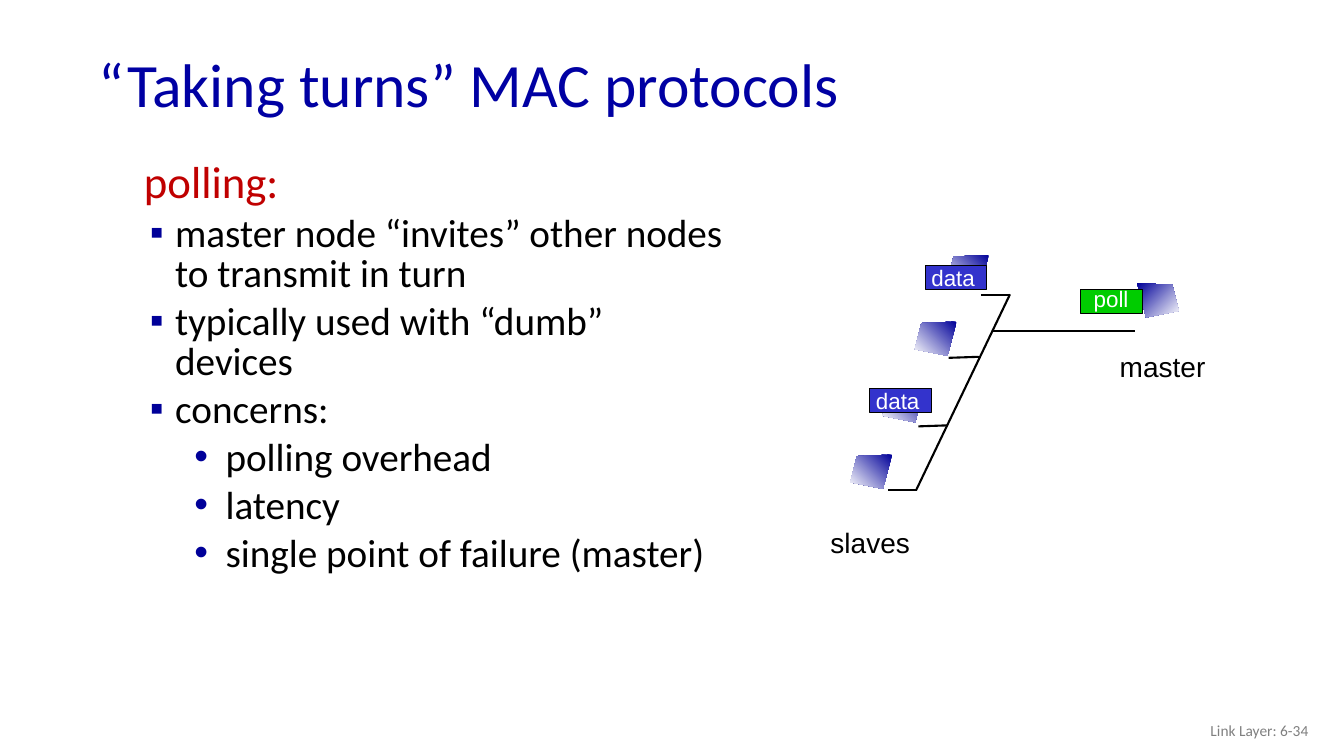
from lxml.etree import SubElement
from pptx import Presentation
from pptx.dml.color import RGBColor
from pptx.enum.shapes import MSO_CONNECTOR, MSO_SHAPE
from pptx.enum.text import MSO_ANCHOR, PP_ALIGN
from pptx.oxml.ns import qn
from pptx.util import Inches, Pt

CELL = 0.1
SLIDE_SIZE = (133.33, 75)
TITLE = ("“Taking turns” MAC protocols", (8.8, 3.8, 115, 9.8))
FOOTER = ("Link Layer: 6-34", (100.8, 70.5, 30, 4))

BODY_PLACE = (13.3, 15.6, 59.7, 55.4)
BODY = [
    ("heading", "polling:"),
    ("point", "master node “invites” other nodes to transmit in turn"),
    ("point", "typically used with “dumb” devices"),
    ("point", "concerns:"),
    ("detail", "polling overhead"),
    ("detail", "latency"),
    ("detail", "single point of failure (master)"),
]
LEVELS = {
    "heading": (0, 3.8, -3.8, "", 32, "C00000"),
    "point": (0, 3.1, -2.5, "▪", 28, "000000"),
    "detail": (1, 8.1, -3.1, "•", 28, "000000"),
}

NODE_OUTLINE = [(0, 0), (3.5, 0.15), (4.15, 2.75), (0.9, 3.4)]
SLAVE_COUNT = 4
FIRST_SLAVE, SLAVE_STEP = (88.5, 45.1), (3.2, -6.6)
MASTER = (112.8, 28.1)
PACKET_SIZE = (6.1, 2.4)
PACKETS = [
    ("poll", (107.2, 28.7), "00CC00", 1.3, 0.5),
    ("data", (86.3, 38.5), "3333CC", 0.6, 0),
    ("data", (91.8, 26.3), "3333CC", 0.6, 0),
]
LABELS = [("master", (110.1, 34.2, 10.5, 4.3)), ("slaves", (81.4, 51.6, 9.9, 4.3))]
WIRES = [
    ((98.5, 32.8), (112.6, 32.8)),
    ((97.3, 29.3), (100.2, 29.3)),
    ((90.9, 48.6), (100.2, 29.2)),
    ((94.1, 35.5), (97.1, 35.4)),
    ((91.1, 42.3), (94, 42.2)),
    ((88.1, 48.6), (91, 48.6)),
]


def grid(*cells):
    return [Inches(cell * CELL) for cell in cells]


def color(value):
    return RGBColor.from_string(value)


def style(paragraph, size, value, name="Calibri"):
    for run in paragraph.runs:
        run.font.size = Pt(size)
        run.font.name = name
        run.font.color.rgb = color(value)


def add_label(slide, text, place, size, value, name):
    box = slide.shapes.add_textbox(*grid(*place))
    box.text_frame.text = text
    style(box.text_frame.paragraphs[0], size, value, name)
    return box.text_frame


def add_bullet(paragraph, mark):
    properties = paragraph._p.get_or_add_pPr()
    bullet_color = SubElement(properties, qn("a:buClr"))
    SubElement(bullet_color, qn("a:srgbClr"), val="000099")
    SubElement(properties, qn("a:buFont"), typeface="Arial")
    SubElement(properties, qn("a:buChar"), char=mark)


def add_body(slide):
    frame = slide.shapes.add_textbox(*grid(*BODY_PLACE)).text_frame
    frame.word_wrap = True
    for index, (kind, text) in enumerate(BODY):
        level, margin, indent, mark, size, value = LEVELS[kind]
        paragraph = frame.add_paragraph() if index else frame.paragraphs[0]
        paragraph.text = text
        paragraph.level = level
        properties = paragraph._p.get_or_add_pPr()
        for key, length in zip(("marL", "indent"), grid(margin, indent)):
            properties.set(key, str(length))
        if mark:
            add_bullet(paragraph, mark)
        paragraph.line_spacing = 0.85
        if index:
            paragraph.space_before = Pt(0.2 * size)
        style(paragraph, size, value)


def add_node(slide, corner, direction, angle):
    points = [grid(corner[0] + direction * x, corner[1] + y) for x, y in NODE_OUTLINE]
    builder = slide.shapes.build_freeform(*points[0])
    builder.add_line_segments(points[1:], close=True)
    node = builder.convert_to_shape()
    node.shadow.inherit = False
    node.line.fill.background()
    node.fill.gradient()
    node.fill.gradient_angle = angle
    for stop, value in zip(node.fill.gradient_stops, ("000099", "FFFFFF")):
        stop.color.rgb = color(value)


def add_packet(slide, text, corner, value, left, bottom):
    packet = slide.shapes.add_shape(MSO_SHAPE.RECTANGLE, *grid(*corner, *PACKET_SIZE))
    packet.shadow.inherit = False
    packet.fill.solid()
    packet.fill.fore_color.rgb = color(value)
    packet.line.color.rgb = color("000000")
    packet.line.width = Pt(0.75)
    frame = packet.text_frame
    frame.margin_left, frame.margin_bottom = grid(left, bottom)
    frame.margin_right = frame.margin_top = 0
    frame.vertical_anchor = MSO_ANCHOR.MIDDLE
    frame.text = text
    frame.paragraphs[0].alignment = PP_ALIGN.LEFT
    style(frame.paragraphs[0], 16, "FFFFFF", "Arial")


def add_wire(slide, start, end):
    wire = slide.shapes.add_connector(MSO_CONNECTOR.STRAIGHT, *grid(*start, *end))
    wire.line.color.rgb = color("000000")
    wire.line.width = Pt(1.5)
    SubElement(wire._element.spPr, qn("a:effectLst"))


def main():
    """Build the slide on polling among turn-taking MAC protocols."""
    presentation = Presentation()
    presentation.slide_width, presentation.slide_height = grid(*SLIDE_SIZE)
    slide = presentation.slides.add_slide(presentation.slide_layouts[5])

    title = slide.shapes.title
    title.left, title.top, title.width, title.height = grid(*TITLE[1])
    title.text_frame.text = TITLE[0]
    title.text_frame.vertical_anchor = MSO_ANCHOR.MIDDLE
    heading = title.text_frame.paragraphs[0]
    heading.alignment = PP_ALIGN.LEFT
    heading.line_spacing = 0.9
    style(heading, 44, "0000A3")

    footer = add_label(slide, *FOOTER, 11, "808080", "Calibri")
    footer.word_wrap = True
    footer.vertical_anchor = MSO_ANCHOR.MIDDLE
    footer.paragraphs[0].alignment = PP_ALIGN.RIGHT

    add_body(slide)
    for index in range(SLAVE_COUNT):
        corner = [first + index * step for first, step in zip(FIRST_SLAVE, SLAVE_STEP)]
        add_node(slide, corner, -1, 225)
    add_node(slide, MASTER, 1, 315)
    for text, place in LABELS:
        add_label(slide, text, place, 20, "000000", "Arial").word_wrap = False
    for packet in PACKETS:
        add_packet(slide, *packet)
    for wire in WIRES:
        add_wire(slide, *wire)
    presentation.save("out.pptx")


if __name__ == "__main__":
    main()
